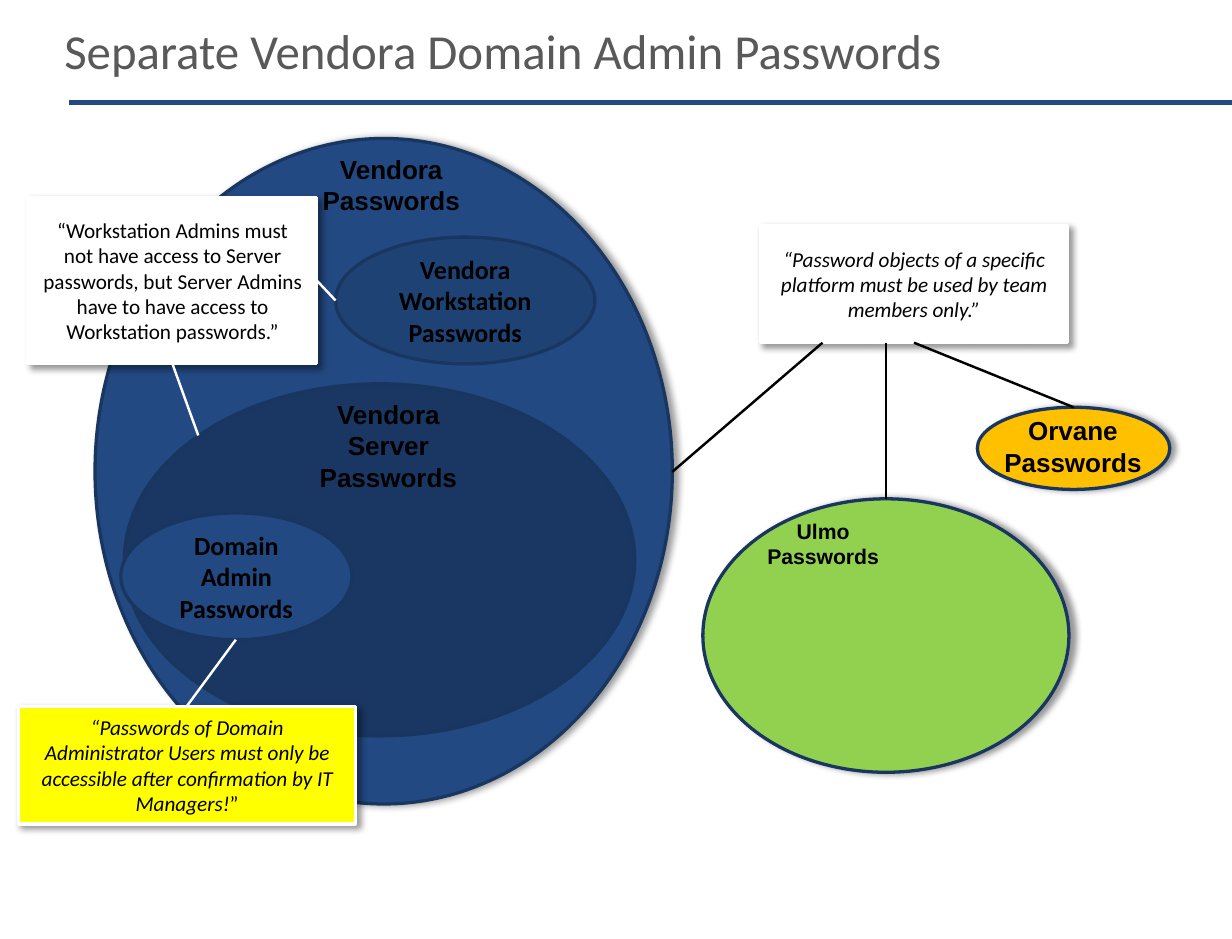
from lxml import etree
from pptx import Presentation
from pptx.dml.color import RGBColor
from pptx.enum.shapes import MSO_CONNECTOR, MSO_SHAPE
from pptx.enum.text import MSO_ANCHOR, PP_ALIGN
from pptx.oxml.ns import qn
from pptx.util import Inches, Pt

OVAL, RECT = MSO_SHAPE.OVAL, MSO_SHAPE.RECTANGLE
STRAIGHT = MSO_CONNECTOR.STRAIGHT
MIDDLE, TOP = MSO_ANCHOR.MIDDLE, MSO_ANCHOR.TOP
CENTER, LEFT = PP_ALIGN.CENTER, PP_ALIGN.LEFT

COLORS = {
    "blue": "224982", "outline": "193660", "server": "193762",
    "workstation": "1F4275", "green": "92D050", "orange": "FFC000",
    "yellow": "FFFF00", "white": "FFFFFF", "black": "000000", "title": "595959",
}

TITLE = "Separate Vendora Domain Admin Passwords"

GROUPS = [
    ((5.99, 4.25, 3.12, 2.33), "green", True, []),
    ((8.33, 3.47, 1.64, 0.7), "orange", True, []),
    ((0.81, 1.18, 4.92, 5.67), "blue", True, []),
    ((1.06, 3.27, 4.35, 3), "server", False, []),
    ((2.86, 2.02, 2.21, 1.08), "workstation", False, ["Vendora", "Workstation", "Passwords"]),
    ((1.03, 4.37, 1.97, 1.08), "blue", False, ["Domain Admin Passwords"]),
]
GROUP_LABELS = [
    ((2.7, 1.3, 1.27, 0.54), 16, ["Vendora", "Passwords"]),
    ((8.53, 3.53, 1.23, 0.54), 16, ["Orvane Passwords"]),
    ((6.48, 4.41, 1.07, 0.44), 13, ["Ulmo", "Passwords"]),
    ((2.45, 3.39, 1.72, 0.81), 16, ["Vendora", "Server Passwords"]),
]
RULES = [
    ((6.48, 1.92, 2.62, 1), "white", [
        ("“Password objects of a specific platform must be used by team members only.”", True)]),
    ((0.16, 6.02, 2.87, 1), "yellow", [
        ("“Passwords of Domain Administrator Users must only be accessible "
         "after confirmation by IT Managers!", True), ("”", False)]),
    ((0.24, 1.68, 2.46, 1.42), "white", [
        ("“Workstation Admins must not have access to Server passwords, but Server Admins "
         "have to have access to Workstation passwords.”", False)]),
]
POINTERS = [
    ((1.59, 6.02), (2.01, 5.45), "white"),
    ((5.73, 4.02), (7.01, 2.92), "black"),
    ((7.55, 4.25), (7.55, 2.92), "black"),
    ((9.15, 3.47), (7.79, 2.92), "black"),
    ((1.69, 3.71), (1.47, 3.1), "white"),
    ((2.86, 2.56), (2.7, 2.39), "white"),
]


def rgb(name):
    return RGBColor.from_string(COLORS[name])


def write(shape, paragraphs, size, font="Calibri", color="black", bold=False,
          align=CENTER, anchor=MIDDLE, insets=(0.11, 0.05)):
    frame = shape.text_frame
    frame.word_wrap = True
    frame.vertical_anchor = anchor
    frame.margin_left = frame.margin_right = Inches(insets[0])
    frame.margin_top = frame.margin_bottom = Inches(insets[1])
    for index, runs in enumerate(paragraphs):
        paragraph = frame.add_paragraph() if index else frame.paragraphs[0]
        paragraph.alignment = align
        for text, italic in runs:
            run = paragraph.add_run()
            run.text = text
            run.font.name, run.font.size = font, Pt(size)
            run.font.bold, run.font.italic = bold, italic
            run.font.color.rgb = rgb(color)


def plain(lines):
    return [[(line, False)] for line in lines]


def add_box(slide, kind, place, fill, line, shadow_angle=None):
    box = slide.shapes.add_shape(kind, *map(Inches, place))
    box.fill.solid()
    box.fill.fore_color.rgb = rgb(fill)
    box.line.color.rgb = rgb(line)
    box.line.width = Pt(2)
    box.shadow.inherit = False
    if shadow_angle is not None:
        effects = box._element.spPr.find(qn("a:effectLst"))
        shadow = etree.SubElement(
            effects, qn("a:outerShdw"), blurRad=str(Pt(4)), dist=str(Pt(3)),
            dir=str(shadow_angle * 60000), algn="tl", rotWithShape="0")
        tint = etree.SubElement(shadow, qn("a:srgbClr"), val=COLORS["black"])
        etree.SubElement(tint, qn("a:alpha"), val="40000")
    return box


def add_line(slide, start, end, color, width):
    line = slide.shapes.add_connector(STRAIGHT, *map(Inches, start + end))
    line.line.color.rgb = rgb(color)
    line.line.width = Pt(width)
    etree.SubElement(line._element.spPr, qn("a:effectLst"))


def main():
    deck = Presentation()
    deck.slide_width, deck.slide_height = Inches(10.5), Inches(8)
    slide = deck.slides.add_slide(deck.slide_layouts[6])

    add_line(slide, (0.59, 0.87), (10.5, 0.87), "blue", 3)
    for place, fill, raised, lines in GROUPS:
        group = add_box(slide, OVAL, place, fill, "outline", 0 if raised else None)
        if lines:
            write(group, plain(lines), 16, bold=True)
    for place, size, lines in GROUP_LABELS:
        label = slide.shapes.add_textbox(*map(Inches, place))
        write(label, plain(lines), size, font="Arial", bold=True, insets=(0, 0))
    for place, fill, runs in RULES:
        write(add_box(slide, RECT, place, fill, "white", 45), [runs], 13)
    for start, end, color in POINTERS:
        add_line(slide, start, end, color, 1.5)

    title = slide.shapes.add_textbox(*map(Inches, (0.45, 0.13, 8.9, 0.8)))
    write(title, plain([TITLE]), 30, color="title", align=LEFT, anchor=TOP, insets=(0.1, 0.05))
    deck.save("out.pptx")


if __name__ == "__main__":
    main()
